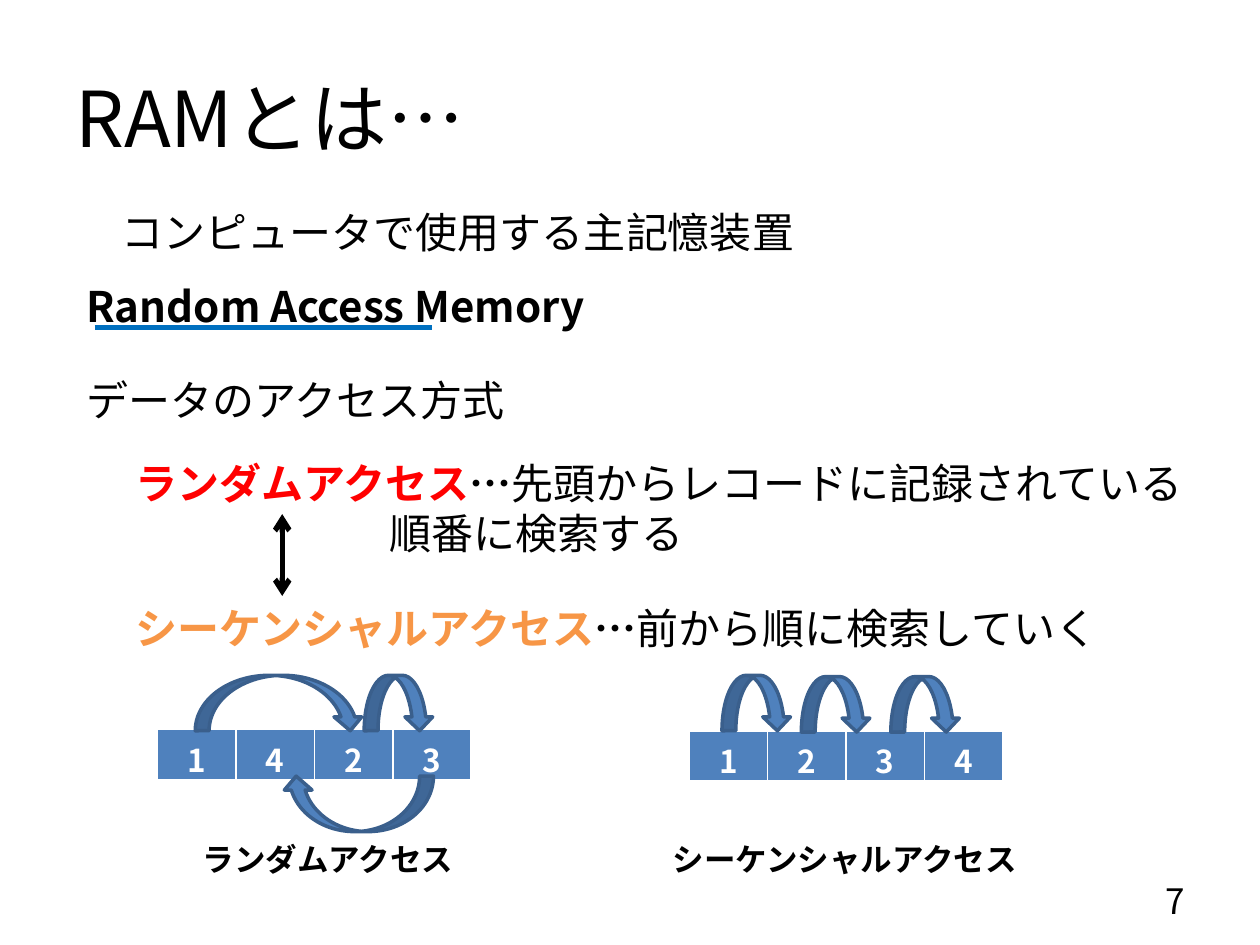
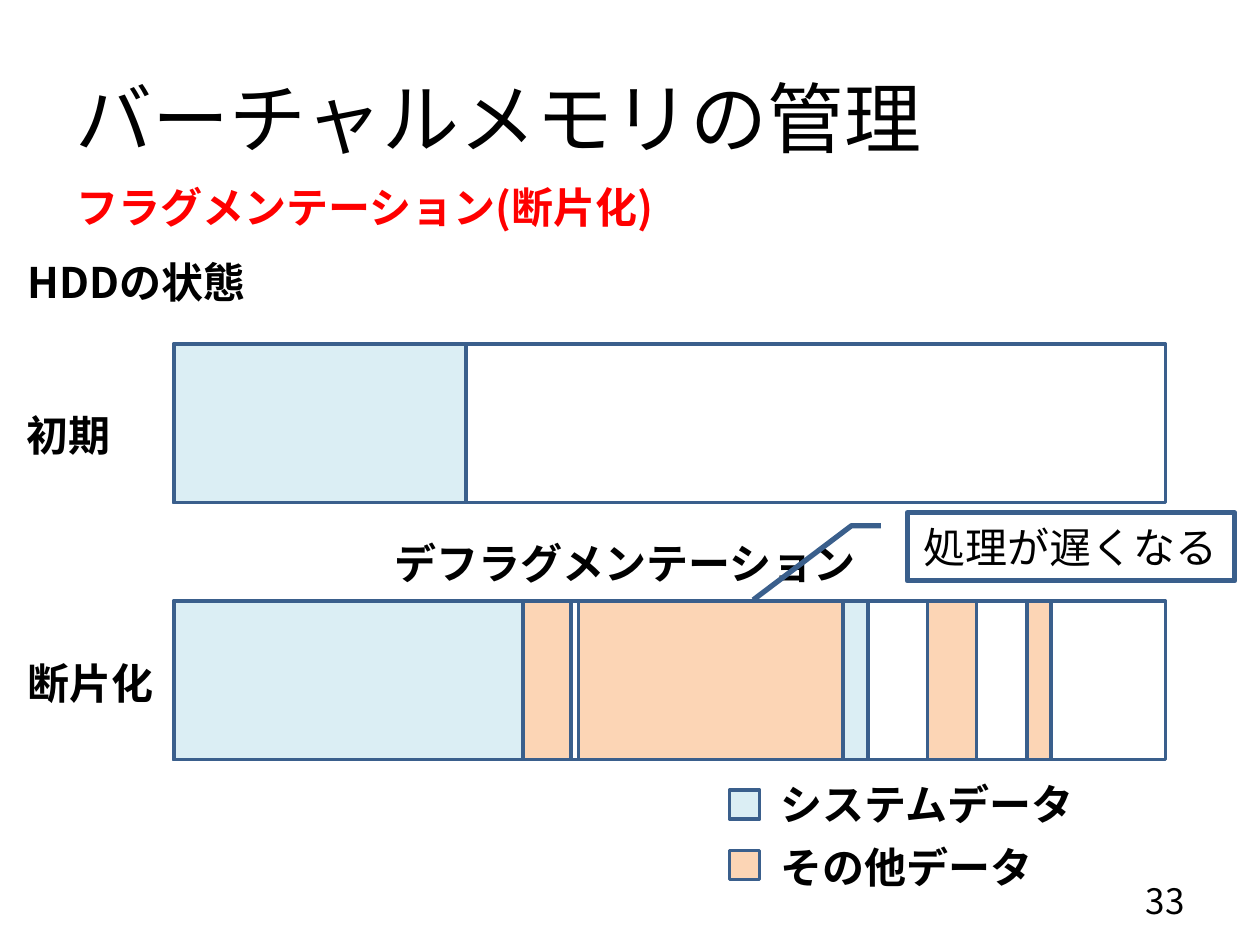
from lxml import etree
from pptx import Presentation
from pptx.dml.color import RGBColor
from pptx.enum.shapes import MSO_CONNECTOR, MSO_SHAPE
from pptx.enum.text import MSO_ANCHOR, PP_ALIGN
from pptx.oxml.ns import qn
from pptx.util import Inches, Pt

RECT = MSO_SHAPE.RECTANGLE
CURVED_ARROW = MSO_SHAPE.CURVED_DOWN_ARROW
CALLOUT = MSO_SHAPE.LINE_CALLOUT_2
STRAIGHT = MSO_CONNECTOR.STRAIGHT
LEFT, CENTER, RIGHT = PP_ALIGN.LEFT, PP_ALIGN.CENTER, PP_ALIGN.RIGHT
MIDDLE = MSO_ANCHOR.MIDDLE

FONT = "Noto Sans CJK JP"
BLACK, WHITE, RED, ORANGE = "000000", "FFFFFF", "FF0000", "F79646"
BLUE, OUTLINE, UNDERLINE = "4F81BD", "3A5F8C", "0070C0"
SYSTEM, OTHER = "DBEEF4", "FCD5B5"
rgb = RGBColor.from_string


def add_run(paragraph, text, size=24, color=BLACK, bold=False):
    run = paragraph.add_run()
    run.text = text
    run.font.name = FONT
    run.font.size = Pt(size)
    run.font.bold = bold
    run.font.color.rgb = rgb(color)
    east_asian = etree.SubElement(run.font._element, qn("a:ea"))
    east_asian.set("typeface", FONT)


def add_block(slide, kind, box, fill=None, weight=2):
    block = slide.shapes.add_shape(kind, *map(Inches, box))
    block.shadow.inherit = False
    if fill:
        block.fill.solid()
        block.fill.fore_color.rgb = rgb(fill)
    else:
        block.fill.background()
    block.line.color.rgb = rgb(OUTLINE)
    block.line.width = Pt(weight)
    return block


prs = Presentation()
prs.slide_width, prs.slide_height = Inches(10), Inches(7.5)

# Text of each slide: title, page number, then (left, top, width, size, runs)
pages = [
    ("RAMとは…", "7", [
        (0.59, 2.18, 6.3, 24, [("Random Access Memory", BLACK, True)]),
        (0.87, 1.59, 8.7, 24, [("コンピュータで使用する主記憶装置", BLACK, False)]),
        (0.98, 3.58, 8.58, 24, [("ランダムアクセス", RED, True), ("…", BLACK, True),
                                ("先頭からレコードに記録されている", BLACK, False)]),
        (0.59, 2.92, 4.02, 24, [("データのアクセス方式", BLACK, False)]),
        (0.98, 4.73, 8.76, 24, [("シーケンシャルアクセス", ORANGE, True),
                                ("…", BLACK, True),
                                ("前から順に検索していく", BLACK, False)]),
        (1.51, 6.62, 2.31, 18, [("ランダムアクセス", BLACK, True)]),
        (5.24, 6.62, 3.72, 18, [("シーケンシャルアクセス", BLACK, True)]),
    ]),
    ("バーチャルメモリの管理", "33", [
        (0.51, 1.39, 5.59, 24, [("フラグメンテーション(断片化)", RED, True)]),
        (0.12, 1.99, 2.77, 24, [("HDDの状態", BLACK, True)]),
        (0.11, 3.2, 1.03, 24, [("初期", BLACK, True)]),
        (0.12, 5.17, 1.26, 24, [("断片化", BLACK, True)]),
        (3.03, 4.22, 5.59, 24, [("デフラグメンテーション", BLACK, True)]),
        (6.1, 6.13, 3.7, 24, [("システムデータ", BLACK, True)]),
        (6.1, 6.63, 3.47, 24, [("その他データ", BLACK, True)]),
    ]),
]

slides = []
frames = {}
for heading, number, texts in pages:
    slide = prs.slides.add_slide(prs.slide_layouts[5])
    slides.append(slide)

    # Title
    title = slide.shapes.title
    title.left, title.top = Inches(0.5), Inches(0.3)
    title.width, title.height = Inches(9), Inches(1.25)
    title.text_frame.vertical_anchor = MIDDLE
    title.text_frame.paragraphs[0].alignment = LEFT
    add_run(title.text_frame.paragraphs[0], heading, 44)

    # Page number
    footer = slide.shapes.add_textbox(Inches(7.17), Inches(6.95), Inches(2.33), Inches(0.4))
    footer.text_frame.vertical_anchor = MIDDLE
    footer.text_frame.word_wrap = True
    footer.text_frame.paragraphs[0].alignment = RIGHT
    add_run(footer.text_frame.paragraphs[0], number, 20)

    # Statements and labels
    for left, top, width, size, runs in texts:
        label = slide.shapes.add_textbox(Inches(left), Inches(top), Inches(width), Inches(0.5))
        label.text_frame.word_wrap = True
        for text, color, bold in runs:
            add_run(label.text_frame.paragraphs[0], text, size, color, bold)
        frames[left, top] = label.text_frame

ram, virtual_memory = slides

# Second line of the random access explanation, set under its first line
continuation = frames[0.98, 3.58].add_paragraph()
continuation._p.get_or_add_pPr().set("marL", str(Inches(2.01)))
add_run(continuation, "順番に検索する")

# Underline of "Random Access" and the arrow between the two methods
for start, end, color, ends in [
    ((0.75, 2.6), (3.43, 2.6), UNDERLINE, ()),
    ((2.24, 4.08), (2.24, 4.73), BLACK, ("a:headEnd", "a:tailEnd")),
]:
    line = ram.shapes.add_connector(STRAIGHT, *map(Inches, start + end))
    line.line.color.rgb = rgb(color)
    line.line.width = Pt(3)
    for end_tag in ends:
        etree.SubElement(line.line._ln, qn(end_tag)).set("type", "arrow")
    etree.SubElement(line._element.spPr, qn("a:effectLst"))

# Record strips
for left, top, records in [(5.47, 5.8, "1234"), (1.25, 5.79, "1423")]:
    strip = ram.shapes.add_table(1, 4, Inches(left), Inches(top),
                                 Inches(2.49), Inches(0.41)).table
    for cell, record in zip(strip.iter_cells(), records):
        cell.text_frame.paragraphs[0].alignment = CENTER
        add_run(cell.text_frame.paragraphs[0], record, 18, WHITE, True)
        properties = cell._tc.get_or_add_tcPr()
        for side, weight in [("L", 1), ("R", 1), ("T", 1), ("B", 3)]:
            border = etree.SubElement(properties, qn(f"a:ln{side}"), w=str(Pt(weight)))
            border_fill = etree.SubElement(border, qn("a:solidFill"))
            etree.SubElement(border_fill, qn("a:srgbClr"), val=WHITE)
        cell.fill.solid()
        cell.fill.fore_color.rgb = rgb(BLUE)

# Jumps between records
for left, top, width, turn in [
    (5.73, 5.36, 0.55, 0), (6.36, 5.37, 0.55, 0), (7.07, 5.37, 0.55, 0),
    (1.55, 5.36, 1.34, 0), (2.89, 5.36, 0.55, 0), (2.24, 6.16, 1.2, 180),
]:
    jump = add_block(ram, CURVED_ARROW, (left, top, width, 0.44), BLUE)
    jump.rotation = turn

# Disk states: the whole disk, then the areas in use
INITIAL, FRAGMENTED = 2.73, 4.77
for top, areas in [
    (INITIAL, [(1.38, 2.32, SYSTEM)]),
    (FRAGMENTED, [(4.14, 0.39, OTHER), (6.5, 0.39, SYSTEM), (7.36, 0.39, OTHER),
                  (8.15, 0.19, OTHER), (1.38, 2.77, SYSTEM), (4.59, 2.1, OTHER)]),
]:
    for left, width, fill in [(1.38, 7.87, None)] + areas:
        add_block(virtual_memory, RECT, (left, top, width, 1.26), fill)

# Callout
slowdown = add_block(virtual_memory, CALLOUT, (7.2, 4.07, 2.6, 0.54), WHITE, 3)
for index, value in enumerate([0.19, -0.08, 0.19, -0.17, 1.28, -0.47]):
    slowdown.adjustments[index] = value
slowdown.text_frame.vertical_anchor = MIDDLE
slowdown.text_frame.paragraphs[0].alignment = CENTER
add_run(slowdown.text_frame.paragraphs[0], "処理が遅くなる")

# Legend keys
for top, fill in [(6.27, SYSTEM), (6.75, OTHER)]:
    add_block(virtual_memory, RECT, (5.79, top, 0.24, 0.23), fill)

prs.save("out.pptx")
